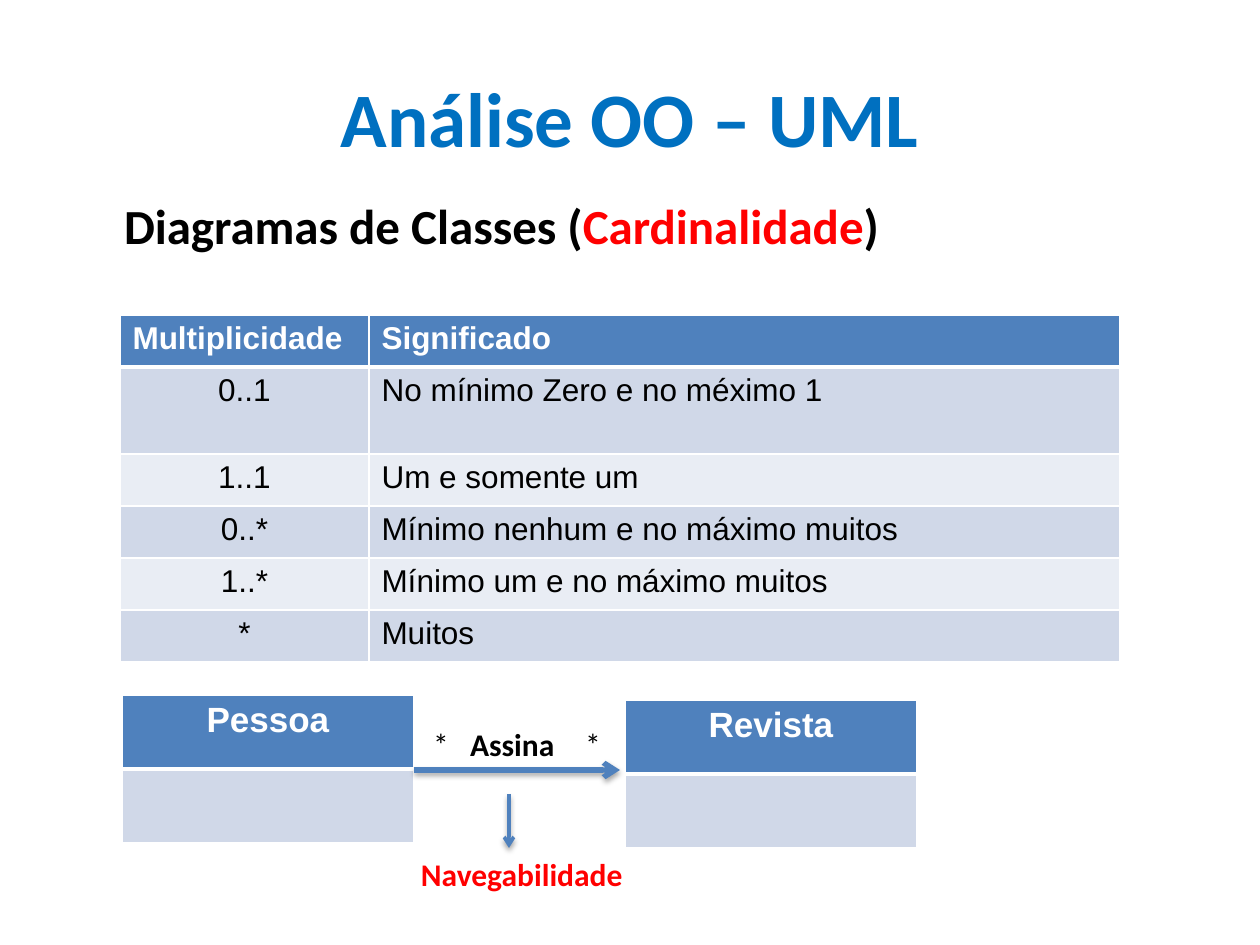
from dataclasses import dataclass

from lxml import etree
from pptx import Presentation
from pptx.dml.color import RGBColor
from pptx.enum import shapes, text
from pptx.oxml import parse_xml
from pptx.oxml.ns import nsdecls, qn
from pptx.util import Emu, Pt

EMU_PER_PIXEL = 914400 / 126
COLORS = {
    "title": "0070C0", "accent": "4F81BD", "band": "D0D8E8", "light": "E9EDF4",
    "white": "FFFFFF", "black": "000000", "red": "FF0000",
}
CENTER, LEFT = text.PP_ALIGN.CENTER, text.PP_ALIGN.LEFT


@dataclass
class Grid:
    left: int
    top: int
    columns: list[int]
    rows: list[int]
    texts: list[list[str]]
    aligns: list
    header_align: int
    header_size: int


@dataclass
class Arrow:
    start: tuple[int, int]
    end: tuple[int, int]
    width: int


@dataclass
class Label:
    left: int
    top: int
    width: int
    height: int


def px(value: int) -> Emu:
    return Emu(round(value * EMU_PER_PIXEL))


def color(name: str) -> RGBColor:
    return RGBColor.from_string(COLORS[name])


def write(para, words: str, *, size: int = 18, font: str = "Calibri",
          fill: str = "black", bold: bool = False) -> None:
    span = para.add_run()
    span.text = words
    span.font.size, span.font.name, span.font.bold = Pt(size), font, bold
    span.font.color.rgb = color(fill)


def place(shape, left: int, top: int, width: int, height: int):
    """Position a text shape, give it narrow insets and return its first paragraph."""
    shape.left, shape.top, shape.width, shape.height = map(px, (left, top, width, height))
    frame = shape.text_frame
    frame.word_wrap = True
    frame.margin_left = frame.margin_right = px(6)
    frame.margin_top = frame.margin_bottom = px(6)
    return frame.paragraphs[0]


def add_label(page, label: Label):
    return place(page.shapes.add_textbox(0, 0, 0, 0),
                 label.left, label.top, label.width, label.height)


def set_borders(cell, **widths: int) -> None:
    properties = cell._tc.get_or_add_tcPr()
    for index, side in enumerate("LRTB"):
        properties.insert(index, parse_xml(
            f'<a:ln{side} {nsdecls("a")} w="{Pt(widths.get(side, 1))}"><a:solidFill>'
            f'<a:srgbClr val="{COLORS["white"]}"/></a:solidFill></a:ln{side}>'))


def add_grid(page, grid: Grid) -> None:
    frame = page.shapes.add_table(
        len(grid.rows), len(grid.columns), px(grid.left), px(grid.top),
        px(sum(grid.columns)), px(sum(grid.rows)))
    table = frame.table
    for column, width in zip(table.columns, grid.columns):
        column.width = px(width)
    for r, height in enumerate(grid.rows):
        table.rows[r].height = px(height)
        for c, words in enumerate(grid.texts[r]):
            cell, header = table.cell(r, c), r == 0
            cell.fill.solid()
            cell.fill.fore_color.rgb = color(
                "accent" if header else "band" if r % 2 else "light")
            set_borders(cell, B=3 if header else 1, T=3 if r == 1 else 1)
            para = cell.text_frame.paragraphs[0]
            para.alignment = grid.header_align if header else grid.aligns[c]
            if words:
                write(para, words, font="Arial", bold=header,
                      size=grid.header_size if header else 18,
                      fill="white" if header else "black")


def add_arrow(page, arrow: Arrow) -> None:
    line = page.shapes.add_connector(
        shapes.MSO_CONNECTOR.STRAIGHT, *map(px, arrow.start + arrow.end))
    line.line.color.rgb = color("accent")
    line.line.width = Pt(arrow.width)
    etree.SubElement(line.line._get_or_add_ln(), qn("a:tailEnd"), type="arrow")
    line._element.spPr.append(parse_xml(
        f'<a:effectLst {nsdecls("a")}><a:outerShdw blurRad="{Pt(3)}" dist="{Pt(1.8)}" '
        f'dir="5400000" rotWithShape="0"><a:srgbClr val="{COLORS["black"]}">'
        '<a:alpha val="35000"/></a:srgbClr></a:outerShdw></a:effectLst>'))


def class_grid(name: str, left: int, top: int) -> Grid:
    return Grid(left, top, [292], [74, 74], [[name], [""]], [CENTER], CENTER, 20)


deck = Presentation()
deck.slide_width, deck.slide_height = px(1260), px(945)
page = deck.slides.add_slide(deck.slide_layouts[1])

# Title and subtitle
para = place(page.shapes.title, 63, 38, 1134, 158)
page.shapes.title.text_frame.vertical_anchor = text.MSO_ANCHOR.MIDDLE
para.alignment = CENTER
write(para, "Análise OO – UML", size=44, fill="title", bold=True)

para = place(page.placeholders[1], 55, 189, 1182, 685)
para.alignment = text.PP_ALIGN.JUSTIFY
para.space_before = Pt(6)
properties = para._p.get_or_add_pPr()
properties.set("marL", str(px(63)))
properties.set("indent", "0")
etree.SubElement(properties, qn("a:buNone"))
for words, fill in (("Diagramas de Classes (", "black"), ("Cardinalidade", "red"),
                    (")", "black")):
    write(para, words, size=28, fill=fill, bold=True)

# Multiplicity table and the two classes
MULTIPLICITIES = [
    ["Multiplicidade", "Significado"],
    ["0..1", "No mínimo Zero e no méximo 1"],
    ["1..1", "Um e somente um"],
    ["0..*", "Mínimo nenhum e no máximo muitos"],
    ["1..*", "Mínimo um e no máximo muitos"],
    ["*", "Muitos"],
]
for grid in (
    Grid(120, 315, [249, 751], [52, 87] + [52] * 4, MULTIPLICITIES,
         [CENTER, LEFT], LEFT, 18),
    class_grid("Pessoa", 122, 695),
    class_grid("Revista", 625, 700),
):
    add_grid(page, grid)

# Association between the classes
for arrow in (Arrow((414, 770), (620, 770), 3), Arrow((509, 794), (509, 848), 2)):
    add_arrow(page, arrow)

para = add_label(page, Label(427, 719, 194, 50))
stops = etree.SubElement(para._p.get_or_add_pPr(), qn("a:tabLst"))
for position in (37, 152):
    etree.SubElement(stops, qn("a:tab"), pos=str(px(position)), algn="l")
write(para, "*\t")
write(para, "Assina", bold=True)
write(para, "\t*")

para = add_label(page, Label(415, 849, 239, 50))
write(para, "Navegabilidade", fill="red", bold=True)

deck.save("out.pptx")
